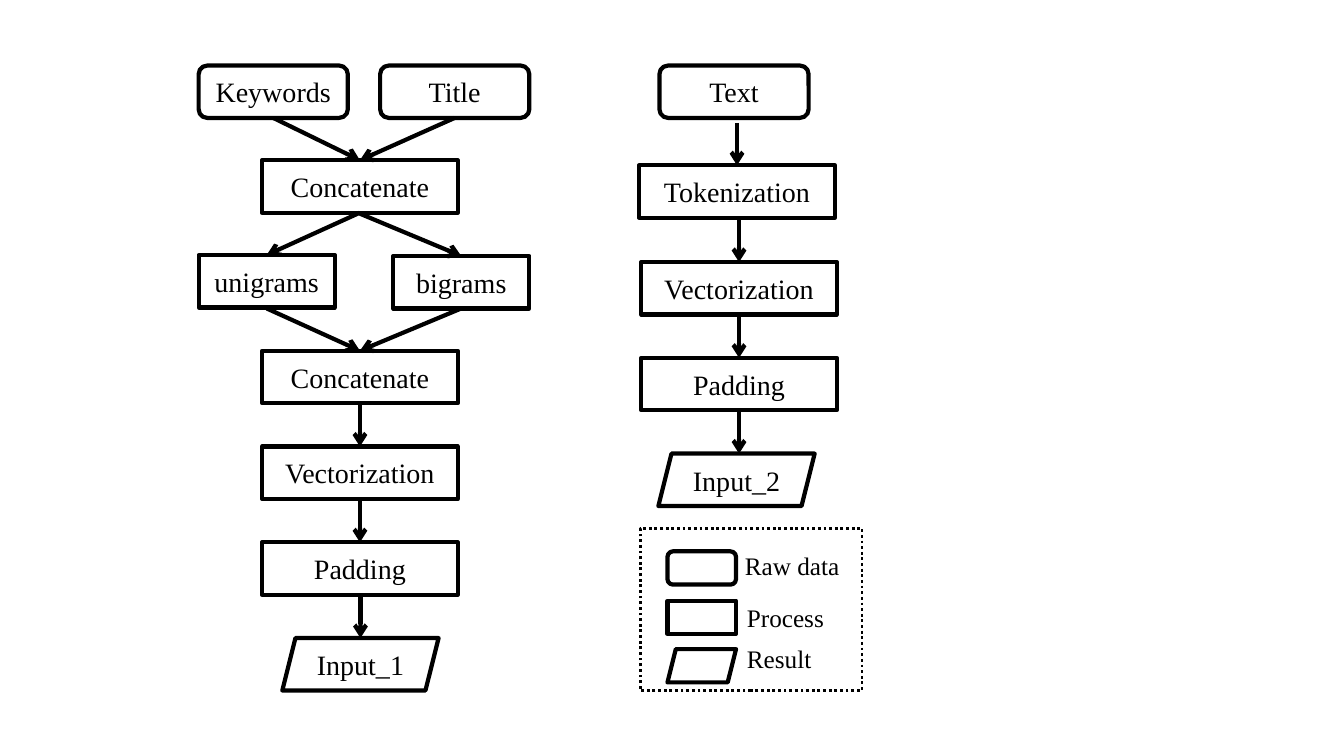
"""Flowchart of two text preprocessing pipelines with a legend."""
from lxml import etree
from pptx import Presentation
from pptx.dml.color import RGBColor
from pptx.enum import dml, shapes, text
from pptx.oxml import ns
from pptx.util import Inches, Pt

FONT, INK = "Times New Roman", "000000"
RAW = shapes.MSO_SHAPE.ROUNDED_RECTANGLE
PROCESS = shapes.MSO_SHAPE.RECTANGLE
RESULT = shapes.MSO_SHAPE.PARALLELOGRAM
STEP_HEIGHT, ARROW_DROP, SAME_COLUMN = 0.52, 0.42, 0.1

STEPS = {
    "keywords": ("Keywords", RAW, 1.97, 0.65, 1.48),
    "title": ("Title", RAW, 3.77, 0.65, 1.48),
    "join words": ("Concatenate", PROCESS, 2.6, 1.59, 1.94),
    "unigrams": ("unigrams", PROCESS, 1.97, 2.53, 1.35),
    "bigrams": ("bigrams", PROCESS, 3.9, 2.54, 1.35),
    "join grams": ("Concatenate", PROCESS, 2.6, 3.48, 1.94),
    "vectorize grams": ("Vectorization", PROCESS, 2.6, 4.43, 1.94),
    "pad grams": ("Padding", PROCESS, 2.6, 5.38, 1.94),
    "input 1": ("Input_1", RESULT, 2.8, 6.33, 1.55),
    "text": ("Text", RAW, 6.54, 0.65, 1.48),
    "tokenize": ("Tokenization", PROCESS, 6.34, 1.64, 1.94),
    "vectorize text": ("Vectorization", PROCESS, 6.36, 2.6, 1.94),
    "pad text": ("Padding", PROCESS, 6.36, 3.55, 1.94),
    "input 2": ("Input_2", RESULT, 6.53, 4.5, 1.55),
}
FLOWS = [
    ("keywords", "join words"), ("title", "join words"),
    ("join words", "unigrams"), ("join words", "bigrams"),
    ("unigrams", "join grams"), ("bigrams", "join grams"),
    ("join grams", "vectorize grams"), ("vectorize grams", "pad grams"),
    ("pad grams", "input 1"),
    ("text", "tokenize"), ("tokenize", "vectorize text"),
    ("vectorize text", "pad text"), ("pad text", "input 2"),
]
LEGEND_FRAME = (6.35, 5.24, 2.2, 1.61)
LEGEND = [
    ("Raw data", RAW, 5.47, (7.29, 5.41, 1.18, 0.4)),
    ("Process", PROCESS, 5.96, (7.31, 5.93, 0.97, 0.4)),
    ("Result", RESULT, 6.44, (7.31, 6.33, 0.85, 0.4)),
]


def color(hex_code):
    return RGBColor.from_string(hex_code)


def write(shape, label, size):
    paragraph = shape.text_frame.paragraphs[0]
    paragraph.text = label
    font = paragraph.runs[0].font
    font.name, font.size, font.color.rgb = FONT, Pt(size), color(INK)
    return paragraph


def outline(kind, box, width=3):
    shape = slide.shapes.add_shape(kind, *map(Inches, box))
    shape.shadow.inherit = False
    shape.fill.background()
    shape.line.color.rgb = color(INK)
    shape.line.width = Pt(width)
    return shape


def arrow(start, end):
    link = slide.shapes.add_connector(
        shapes.MSO_CONNECTOR.STRAIGHT, *map(Inches, start + end))
    link.line.color.rgb = color(INK)
    link.line.width = Pt(3)
    etree.SubElement(link.line._get_or_add_ln(), ns.qn("a:tailEnd"), type="arrow")
    etree.SubElement(link._element.spPr, ns.qn("a:effectLst"))


def center(step):
    _, _, left, _, width = STEPS[step]
    return left + width / 2


deck = Presentation()
deck.slide_width, deck.slide_height = Inches(13.33), Inches(7.5)
slide = deck.slides.add_slide(deck.slide_layouts[6])

for label, kind, left, top, width in STEPS.values():
    step = outline(kind, (left, top, width, STEP_HEIGHT))
    step.text_frame.vertical_anchor = text.MSO_ANCHOR.MIDDLE
    write(step, label, 20).alignment = text.PP_ALIGN.CENTER

for source, target in FLOWS:
    start_x, end_x = center(source), center(target)
    if abs(start_x - end_x) < SAME_COLUMN:
        start_x = end_x = max(start_x, end_x)
    target_top = STEPS[target][3]
    arrow((start_x, target_top - ARROW_DROP), (end_x, target_top))

for label, kind, top, label_box in LEGEND:
    outline(kind, (6.62, top, 0.68, 0.33))
    caption = slide.shapes.add_textbox(*map(Inches, label_box))
    caption.text_frame.word_wrap = False
    caption.text_frame.auto_size = text.MSO_AUTO_SIZE.SHAPE_TO_FIT_TEXT
    write(caption, label, 18)

frame = outline(PROCESS, LEGEND_FRAME, 2)
frame.line.dash_style = dml.MSO_LINE.ROUND_DOT

deck.save("out.pptx")
